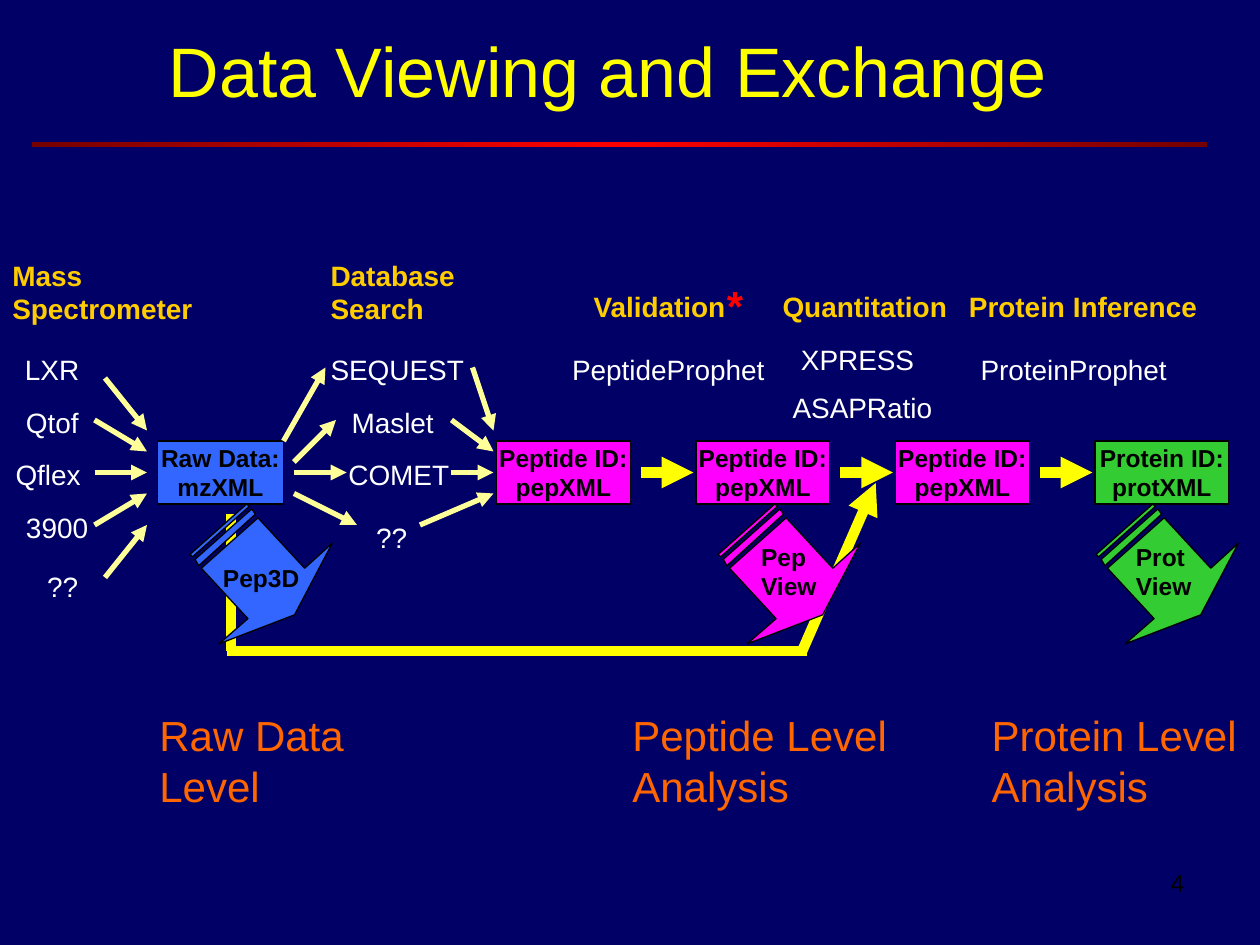
from copy import deepcopy

from lxml import etree
from pptx import Presentation
from pptx import util as u
from pptx.dml.color import RGBColor
from pptx.enum import shapes, text
from pptx.oxml import ns

COLS, ROWS = 120, 90
CELL = u.Inches(10) // COLS
FONT = "Arial"
BLUE, PINK, GREEN = "3366FF", "FF00FF", "33CC33"
BLACK, WHITE, YELLOW, PALE = "000000", "FFFFFF", "FFFF00", "FFFF99"
HEADING = dict(size=16, bold=True, color="FFCC00")
ITEM = dict(size=16, color=WHITE)
BOLD = dict(size=14, bold=True, color=BLACK)
LEVEL = dict(size=24, color="FF6600")
LINE_H = 4.4
SLACK = 0.8  # spare columns that keep each label on its own lines
AXIS_ROW = 45
STAGE_W, STAGE_H, STAGE_STEP = 12.75, 6, 19
FLAP = [
    [(54, 11), (91, 51), (113, 31), (83, 88), (23, 111), (46, 91), (9, 51)],
    [(45, 0), (47, 2), (2, 42), (0, 40)],
    [(49, 4), (52, 8), (7, 49), (4, 44)],
]


def grid(*values):
    return [u.Emu(round(v * CELL)) for v in values]


def rgb(value):
    return RGBColor.from_string(value)


def write(tf, lines, size, color, bold=False, align=text.PP_ALIGN.LEFT):
    for i, line_text in enumerate(lines.split("\n")):
        p = tf.paragraphs[0] if i == 0 else tf.add_paragraph()
        p.alignment = align
        r = p.add_run()
        r.text = line_text
        r.font.color.rgb = rgb(color)
        for name, value in dict(name=FONT, size=u.Pt(size), bold=bold).items():
            setattr(r.font, name, value)


def label(s, lines, box, fmt):
    x, y, w, h = box
    tf = s.shapes.add_textbox(*grid(x, y, w + SLACK, h)).text_frame
    tf.word_wrap = True
    tf.auto_size = text.MSO_AUTO_SIZE.NONE
    write(tf, lines, **fmt)


def items(s, col, row, entries):
    for name, dx, dy, w in entries:
        label(s, name, (col + dx, row + dy, w, LINE_H), ITEM)


def line(s, ends, color, width, head=True):
    c = s.shapes.add_connector(shapes.MSO_CONNECTOR.STRAIGHT, *grid(*ends))
    c.line.color.rgb = rgb(color)
    c.line.width = u.Pt(width)
    if head:
        etree.SubElement(c.line._get_or_add_ln(), ns.qn("a:tailEnd"), type="triangle")
    etree.SubElement(c._element.spPr, ns.qn("a:effectLst"))


def thin_arrows(s, col, row, ends):
    for x1, y1, x2, y2 in ends:
        line(s, (col + x1, row + y1, col + x2, row + y2), PALE, 3)


def paint(sp, fill):
    sp.shadow.inherit = False
    sp.fill.solid()
    sp.fill.fore_color.rgb = rgb(fill)
    sp.line.color.rgb = rgb(BLACK)
    sp.line.width = u.Pt(0.75)


def title(s, col, row, w):
    label(s, "Data Viewing and Exchange", (col + 11.9, row, 86, 9.2),
          dict(size=40, color=YELLOW))
    sp = s.shapes.add_shape(shapes.MSO_SHAPE.RECTANGLE,
                            *grid(col, row + 11.5, w, 0.5))
    sp.shadow.inherit = False
    sp.line.fill.background()
    sp.fill.gradient()
    sp.fill.gradient_angle = 0
    stops = sp._element.spPr.find(".//" + ns.qn("a:gsLst"))
    stops.append(deepcopy(stops[0]))
    for stop, pos, color in zip(sp.fill.gradient_stops, (0, 0.5, 1),
                                ("750000", "FF0000", "750000")):
        stop.position = pos
        stop.color.rgb = rgb(color)


def stage(s, col, lines, fill, w=STAGE_W):
    sp = s.shapes.add_shape(shapes.MSO_SHAPE.RECTANGLE,
                            *grid(col, AXIS_ROW - STAGE_H / 2, w, STAGE_H))
    paint(sp, fill)
    tf = sp.text_frame
    tf.word_wrap = False
    tf.vertical_anchor = text.MSO_ANCHOR.MIDDLE
    write(tf, lines, align=text.PP_ALIGN.CENTER, **BOLD)


def pipeline(s, col):
    """Stage boxes at equal steps, joined by thick arrows."""
    stages = [("Peptide ID:\npepXML", PINK)] * 3 + [("Protein ID:\nprotXML", GREEN)]
    for i, (lines, fill) in enumerate(stages):
        x = col + i * STAGE_STEP
        stage(s, x, lines, fill)
        if i:
            line(s, (x - 5.25, AXIS_ROW, x - 0.25, AXIS_ROW), YELLOW, 6)


def feedback(s, col, row):
    """Thick path from the raw data under the stages to quantitation."""
    line(s, (col - 0.4, row, col + 54.9, row), YELLOW, 6, head=False)
    line(s, (col + 54.4, row, col + 61.4, row - 16), YELLOW, 6)
    line(s, (col, row - 13, col, row), YELLOW, 6, head=False)


def mass_spectrometers(s, col, row):
    label(s, "Mass Spectrometer", (col, row, 20.3, 7.7), HEADING)
    items(s, col, row, [("LXR", 1.2, 9, 7.8), ("Qtof", 1.3, 14, 7.4),
                        ("Qflex", 0.3, 19, 8.9), ("3900", 1.3, 24, 8.3),
                        ("??", 3.3, 29.65, 5.3)])
    thin_arrows(s, col, row, [(10, 12, 14, 17), (9, 16, 14, 19), (9, 21, 14, 21),
                              (9, 26, 14, 23), (10, 31, 14, 26)])


def database_search(s, col, row):
    label(s, "Database\nSearch", (col + 3.3, row, 14.2, 7.7), HEADING)
    items(s, col, row, [("SEQUEST", 3.3, 9, 15.1), ("Maslet", 5.3, 14, 10.9),
                        ("COMET", 5, 19, 12), ("??", 7.65, 25, 5.3)])
    thin_arrows(s, col, row, [(0, 18, 4, 11), (1, 20, 5, 16), (1, 21, 6, 21),
                              (1, 23, 7, 26), (18, 11, 20, 17), (16, 16, 20, 19),
                              (16, 21, 20, 21), (13, 26, 20, 23)])


def analysis(s, col, row, heading, w, tools):
    label(s, heading, (col, row, w, LINE_H), HEADING)
    items(s, col, row, tools)


def viewer(s, col, row, lines, fill, text_box):
    """Striped arrow drawn in hundredths of an inch, with its caption."""
    x, y = grid(col, row)
    unit = u.Inches(0.01)
    fb = s.shapes.build_freeform(*FLAP[0][0], scale=unit)
    for i, outline in enumerate(FLAP):
        if i:
            fb.move_to(*outline[0])
        fb.add_line_segments(outline[1:], close=True)
    paint(fb.convert_to_shape(x, y), fill)
    dx, dy, w, h = text_box
    label(s, lines, (col + dx, row + dy, w, h), BOLD)


def main():
    prs = Presentation()
    prs.slide_width, prs.slide_height = grid(COLS, ROWS)
    s = prs.slides.add_slide(prs.slide_layouts[6])
    s.background.fill.solid()
    s.background.fill.fore_color.rgb = rgb("000066")

    title(s, 3, 2, 112)
    stage(s, 15, "Raw Data:\nmzXML", BLUE, w=12)
    pipeline(s, 47.28)
    feedback(s, 22, 62)
    mass_spectrometers(s, 0, 24)
    database_search(s, 27, 24)
    analysis(s, 55.35, 27, "Validation", 15.1, [("PeptideProphet", -2.05, 6, 20.8)])
    label(s, "*", (68.05, 26, 4, 6), dict(size=24, bold=True, color="FF0000"))
    analysis(s, 73.35, 27, "Quantitation", 18,
             [("XPRESS", 1.75, 5, 13.2), ("ASAPRatio", 0.95, 9.6, 15.7)])
    analysis(s, 91.1, 27, "Protein Inference", 24.1,
             [("ProteinProphet", 1.1, 6, 20.2)])
    viewer(s, 18.1, 48, "Pep3D", BLUE, (1.95, 5, 9.6, 4.1))
    viewer(s, 68.4, 48, "Pep\nView", PINK, (2.9, 3, 7.7, 6.8))
    viewer(s, 104.4, 48, "Prot\nView", GREEN, (2.6, 3, 7.7, 6.8))
    for lines, col, w in [("Raw Data\nLevel", 14, 19.9),
                          ("Peptide Level\nAnalysis", 59.05, 26.6),
                          ("Protein Level\nAnalysis", 93.25, 25.7)]:
        label(s, lines, (col, 67, w, 10.8), LEVEL)
    label(s, "4", (110.3, 82.05, 3.7, 4.1), dict(size=14, color=BLACK))
    prs.save("out.pptx")


if __name__ == "__main__":
    main()
